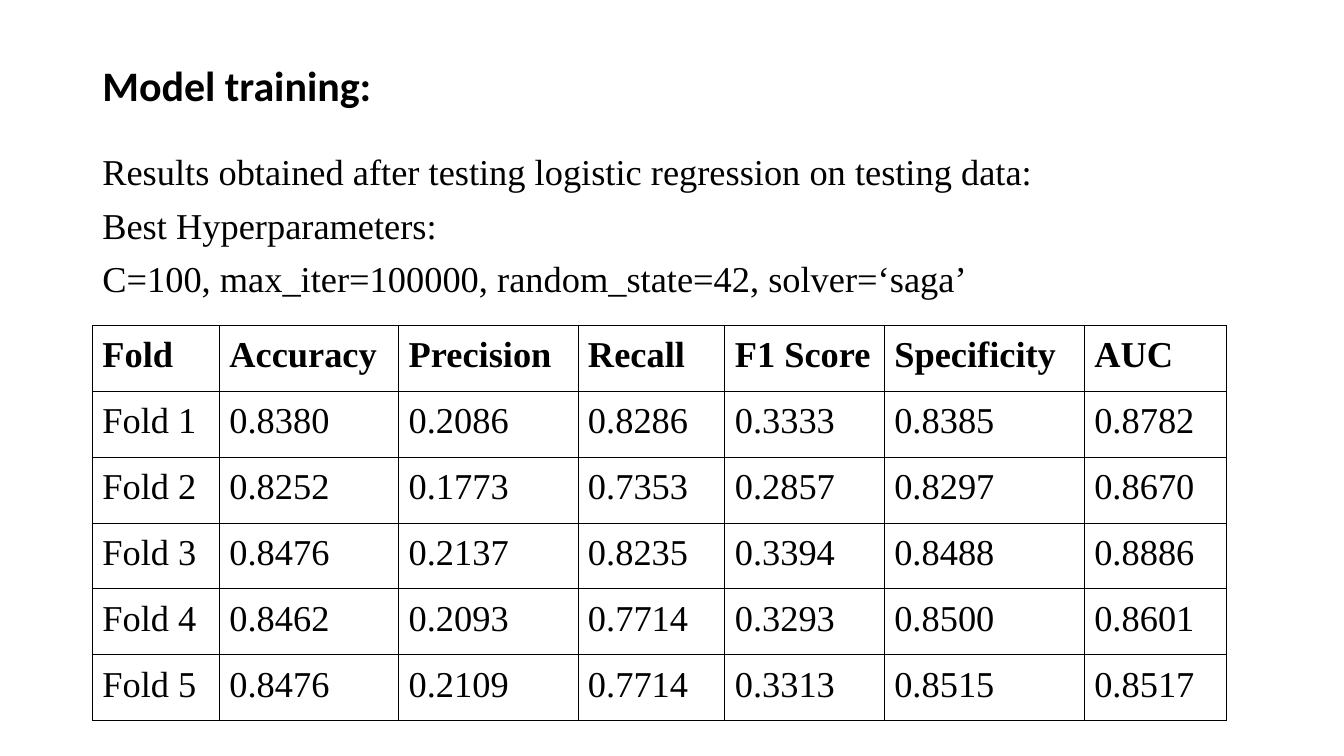
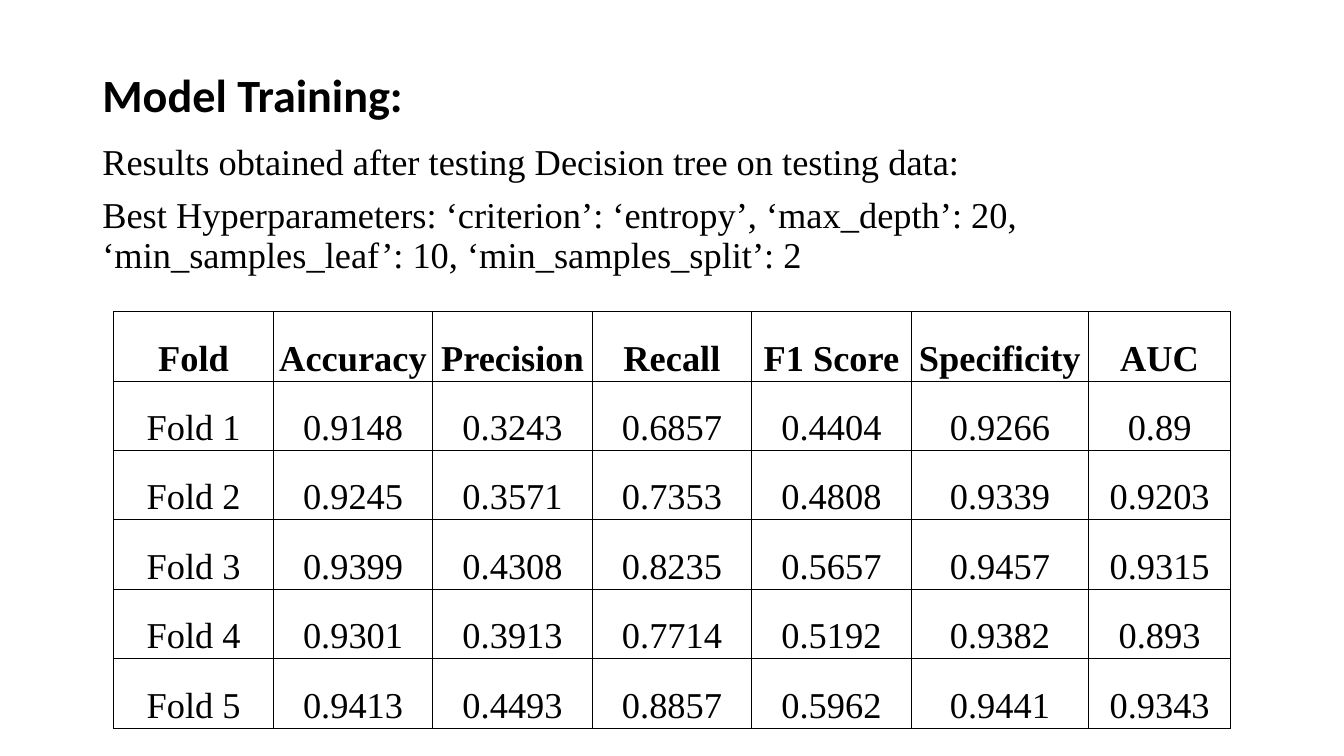
from dataclasses import dataclass

import lxml.etree
import pptx
import pptx.dml.color
import pptx.enum.text
import pptx.oxml.ns
import pptx.util

Cm = pptx.util.Cm
Pt = pptx.util.Pt
ANCHOR = pptx.enum.text.MSO_ANCHOR
ALIGN = pptx.enum.text.PP_ALIGN


# Theme
@dataclass(frozen=True)
class Theme:
    ink: str = "000000"
    title_font: str = "Calibri"
    body_font: str = "Times New Roman"
    body_size: int = 26
    border: float = 0.75
    text_left: float = 2.33
    para_gap: int = 10
    line_spacing: float = 0.9


THEME = Theme()


# Slide content: lengths in cm, type sizes in points
@dataclass(frozen=True)
class Box:
    top: float
    width: float
    height: float
    inset: float = 0.13


@dataclass(frozen=True)
class TableStyle:
    left: float
    top: float
    row_height: float
    col_widths: tuple[float, ...]
    inset_x: float
    inset_y: float
    anchor: ANCHOR
    align: ALIGN
    line_spacing: float


@dataclass(frozen=True)
class ResultSlide:
    title: str
    title_size: int
    title_box: Box
    body: tuple[str, ...]
    body_box: Box
    table: TableStyle
    folds: tuple[tuple[str, ...], ...]


HEADER = ("Fold", "Accuracy", "Precision", "Recall", "F1 Score", "Specificity", "AUC")

SLIDES = (
    ResultSlide(
        title="Model training:",
        title_size=30,
        title_box=Box(0.38, 29.21, 3.68),
        body=(
            "Results obtained after testing logistic regression on testing data:",
            "Best Hyperparameters:",
            "C=100, max_iter=100000, random_state=42, solver=‘saga’",
        ),
        body_box=Box(3.76, 30.5, 4.3),
        table=TableStyle(
            2.33, 8.2, 1.66, (3.2, 4.52, 4.52, 3.7, 4.02, 5.04, 3.58),
            0.25, 0.25, ANCHOR.TOP, ALIGN.LEFT, 1.0,
        ),
        folds=(
            ("0.8380", "0.2086", "0.8286", "0.3333", "0.8385", "0.8782"),
            ("0.8252", "0.1773", "0.7353", "0.2857", "0.8297", "0.8670"),
            ("0.8476", "0.2137", "0.8235", "0.3394", "0.8488", "0.8886"),
            ("0.8462", "0.2093", "0.7714", "0.3293", "0.8500", "0.8601"),
            ("0.8476", "0.2109", "0.7714", "0.3313", "0.8515", "0.8517"),
        ),
    ),
    ResultSlide(
        title="Model Training:",
        title_size=33,
        title_box=Box(1.02, 29.21, 2.87),
        body=(
            "Results obtained after testing Decision tree on testing data:",
            "Best Hyperparameters: ‘criterion’: ‘entropy’, ‘max_depth’: 20, "
            "‘min_samples_leaf’: 10, ‘min_samples_split’: 2",
        ),
        body_box=Box(3.38, 30.8, 4.4, inset=0.25),
        table=TableStyle(
            2.87, 7.85, 1.75, (4.02,) * 5 + (4.47, 3.58),
            0.08, 0.05, ANCHOR.BOTTOM, ALIGN.CENTER, 1.15,
        ),
        folds=(
            ("0.9148", "0.3243", "0.6857", "0.4404", "0.9266", "0.89"),
            ("0.9245", "0.3571", "0.7353", "0.4808", "0.9339", "0.9203"),
            ("0.9399", "0.4308", "0.8235", "0.5657", "0.9457", "0.9315"),
            ("0.9301", "0.3913", "0.7714", "0.5192", "0.9382", "0.893"),
            ("0.9413", "0.4493", "0.8857", "0.5962", "0.9441", "0.9343"),
        ),
    ),
)


# Text
def add_run(p, text: str, font: str, size: int, bold: bool = False) -> None:
    r = p.add_run()
    r.text = text
    r.font.name = font
    r.font.size = Pt(size)
    r.font.bold = bold
    r.font.color.rgb = pptx.dml.color.RGBColor.from_string(THEME.ink)


def add_text(s, box: Box, paragraphs: tuple[str, ...], font: str, size: int,
             bold: bool = False, anchor: ANCHOR = ANCHOR.TOP) -> None:
    sp = s.shapes.add_textbox(
        Cm(THEME.text_left), Cm(box.top), Cm(box.width), Cm(box.height))
    tf = sp.text_frame
    tf.word_wrap = True
    tf.vertical_anchor = anchor
    tf.margin_left = tf.margin_right = Cm(0.25)
    tf.margin_top = tf.margin_bottom = Cm(box.inset)
    for i, text in enumerate(paragraphs):
        p = tf.add_paragraph() if i else tf.paragraphs[0]
        p.line_spacing = THEME.line_spacing
        if i:
            p.space_before = Pt(THEME.para_gap)
        add_run(p, text, font, size, bold)


# Table
def add_borders(cell) -> None:
    qn = pptx.oxml.ns.qn
    tc_pr = cell._tc.get_or_add_tcPr()
    for side in ("a:lnL", "a:lnR", "a:lnT", "a:lnB"):
        ln = lxml.etree.SubElement(tc_pr, qn(side), w=str(Pt(THEME.border)))
        fill = lxml.etree.SubElement(ln, qn("a:solidFill"))
        lxml.etree.SubElement(fill, qn("a:srgbClr"), val=THEME.ink)


def fill_cell(cell, text: str, style: TableStyle, bold: bool) -> None:
    add_borders(cell)
    cell.fill.background()
    cell.margin_left = cell.margin_right = Cm(style.inset_x)
    cell.margin_top = cell.margin_bottom = Cm(style.inset_y)
    cell.vertical_anchor = style.anchor
    p = cell.text_frame.paragraphs[0]
    p.alignment = style.align
    p.line_spacing = style.line_spacing
    add_run(p, text, THEME.body_font, THEME.body_size, bold)


def add_results(s, style: TableStyle, folds: tuple[tuple[str, ...], ...]) -> None:
    rows = [HEADER] + [(f"Fold {n}", *scores) for n, scores in enumerate(folds, 1)]
    table = s.shapes.add_table(
        len(rows), len(HEADER), Cm(style.left), Cm(style.top),
        Cm(sum(style.col_widths)), Cm(style.row_height * len(rows))).table
    table.horz_banding = False
    for col, width in zip(table.columns, style.col_widths):
        col.width = Cm(width)
    for i, row in enumerate(rows):
        table.rows[i].height = Cm(style.row_height)
        for j, text in enumerate(row):
            fill_cell(table.cell(i, j), text, style, bold=i == 0)


# Slides
def add_slide(prs, content: ResultSlide) -> None:
    s = prs.slides.add_slide(prs.slide_layouts[6])
    add_text(s, content.title_box, (content.title,), THEME.title_font,
             content.title_size, bold=True, anchor=ANCHOR.MIDDLE)
    add_text(s, content.body_box, content.body, THEME.body_font, THEME.body_size)
    add_results(s, content.table, content.folds)


def main() -> None:
    prs = pptx.Presentation()
    prs.slide_width, prs.slide_height = Cm(33.87), Cm(19.05)
    for content in SLIDES:
        add_slide(prs, content)
    prs.save("out.pptx")


if __name__ == "__main__":
    main()
